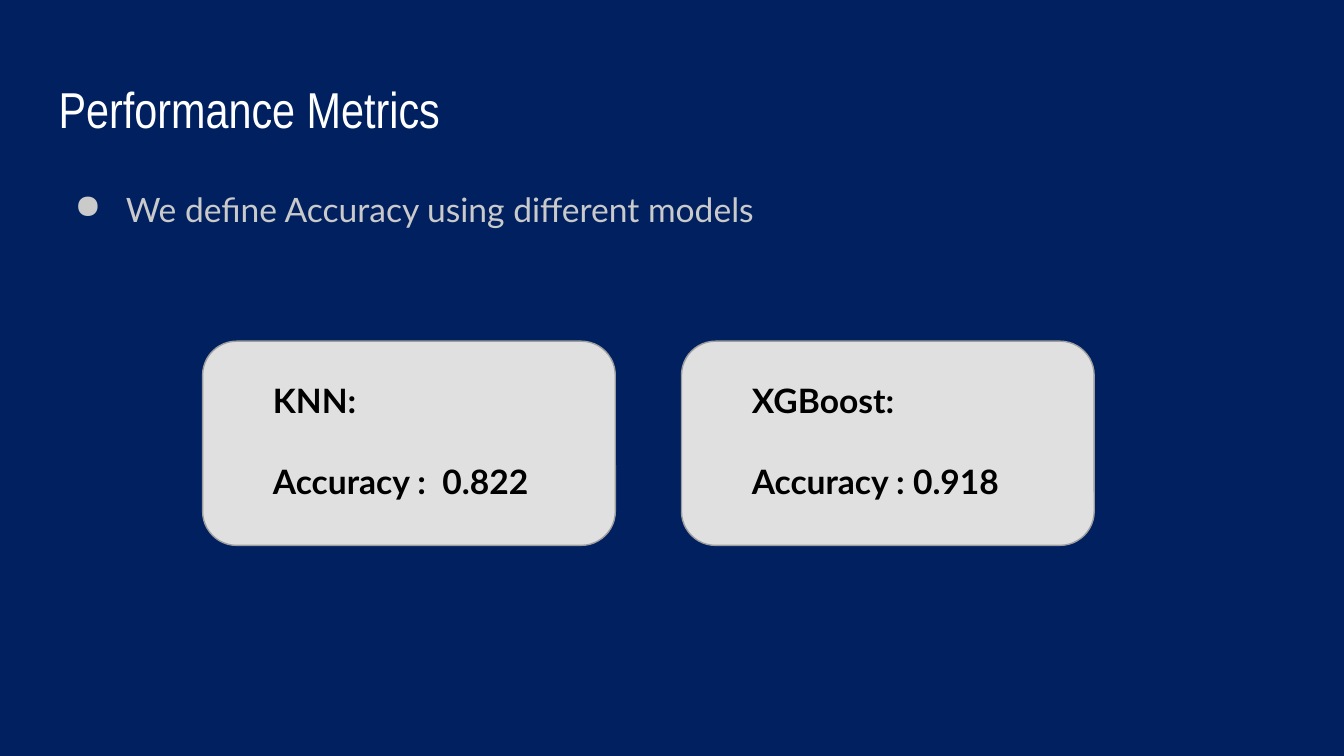
from lxml import etree
from pptx import Presentation
from pptx import util as u
from pptx.dml.color import RGBColor
from pptx.enum import shapes, text
from pptx.oxml.ns import qn

COLORS = {
    "background": "002060",
    "title": "FFFFFF",
    "body": "CACACA",
    "card": "E0E0E0",
    "card_line": "9E9E9E",
    "card_text": "000000",
}
INSET = u.Cm(0.25)


def rgb(name):
    return RGBColor.from_string(COLORS[name])


def add_text(s, box, lines, *, size=18, font="Lato", color="body", bold=False,
             anchor=text.MSO_ANCHOR.TOP, left=0, hanging=0, bullet=None,
             spacing=1.0, gap=0):
    """Put one paragraph per line in a text box; left and hanging are in cm, gap in points."""
    tf = s.shapes.add_textbox(*map(u.Cm, box)).text_frame
    tf.word_wrap = True
    tf.vertical_anchor = anchor
    tf.margin_left = tf.margin_right = tf.margin_top = tf.margin_bottom = INSET
    for i, line in enumerate(lines):
        p = tf.paragraphs[0] if i == 0 else tf.add_paragraph()
        p.line_spacing = spacing
        p.space_before = u.Pt(gap if i else 0)
        pPr = p._p.get_or_add_pPr()
        pPr.set("marL", str(u.Cm(left)))
        pPr.set("indent", str(-u.Cm(hanging)))
        if bullet:
            etree.SubElement(pPr, qn("a:buChar"), char=bullet)
        r = p.add_run()
        r.text = line
        r.font.size = u.Pt(size)
        r.font.name = font
        r.font.bold = bold
        r.font.color.rgb = rgb(color)


def add_heading(s, x, y, w):
    add_text(s, (x, y, w, 1.6), ["Performance Metrics"], size=27,
             font="Arial Narrow", color="title", anchor=text.MSO_ANCHOR.MIDDLE)
    add_text(s, (x, y + 1.96, w, 9.5), ["We define Accuracy using different models"],
             left=1.27, hanging=0.97, bullet="●", spacing=1.15)


def add_model_card(s, x, y, w, h, lines):
    sp = s.shapes.add_shape(shapes.MSO_SHAPE.ROUNDED_RECTANGLE,
                            *map(u.Cm, (x, y, w, h)))
    sp.shadow.inherit = False
    sp.fill.solid()
    sp.fill.fore_color.rgb = rgb("card")
    sp.line.color.rgb = rgb("card_line")
    sp.line.width = u.Pt(0.75)
    add_text(s, (x - 0.19, y + 0.48, w + 0.36, 2.82), lines,
             color="card_text", bold=True, left=1.27, gap=21.6)


def main():
    prs = Presentation()
    prs.slide_width, prs.slide_height = u.Cm(25.4), u.Cm(14.29)
    s = prs.slides.add_slide(prs.slide_layouts[6])
    s.background.fill.solid()
    s.background.fill.fore_color.rgb = rgb("background")

    add_heading(s, 0.86, 1.24, 23.67)
    models = [("KNN:", "Accuracy :  0.822"), ("XGBoost:", "Accuracy : 0.918")]
    for i, lines in enumerate(models):
        add_model_card(s, 3.83 + i * 9.05, 6.45, 7.8, 3.86, lines)

    prs.save("out.pptx")


if __name__ == "__main__":
    main()
